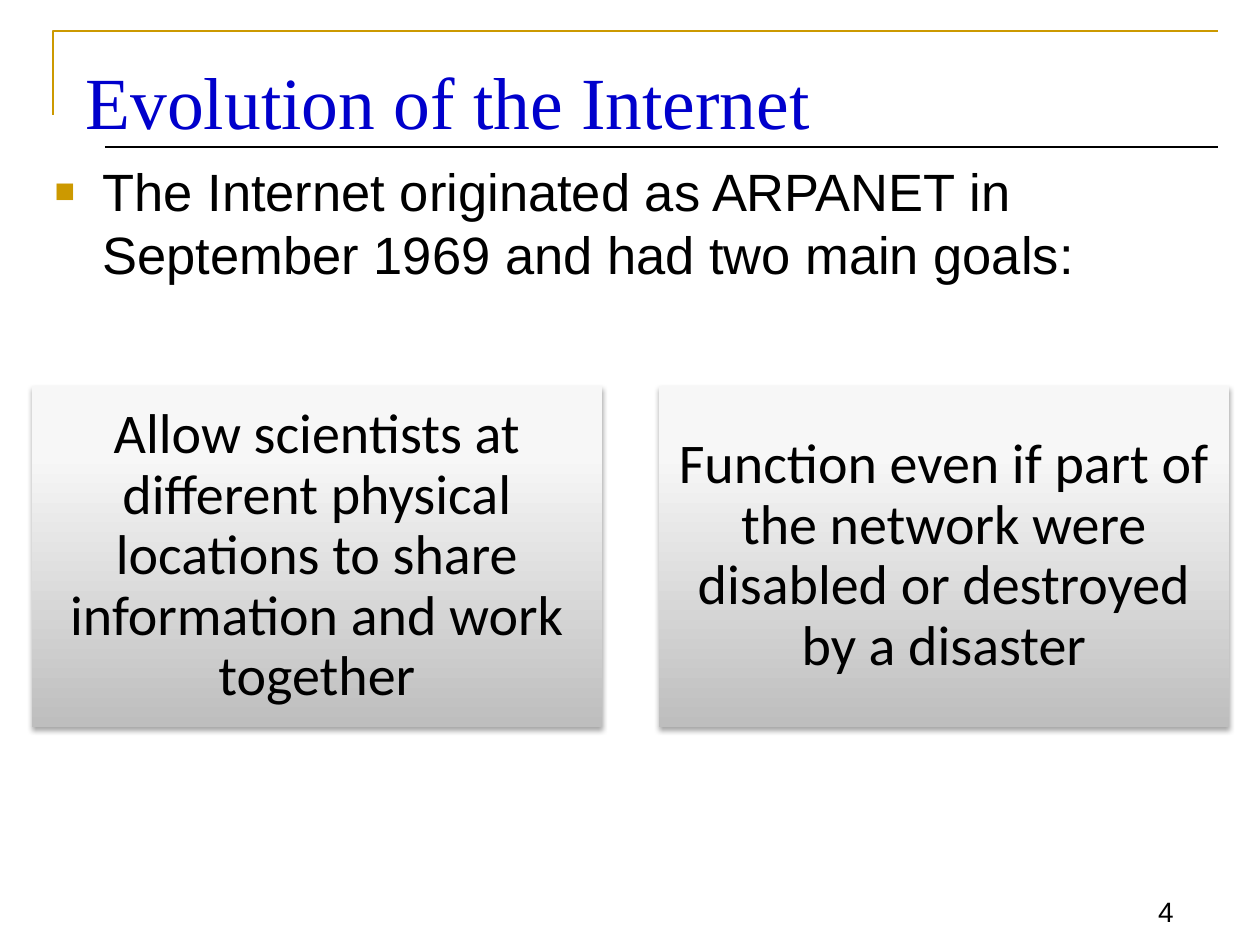
from pptx import Presentation
from pptx.dml.color import RGBColor
from pptx.enum.shapes import MSO_CONNECTOR, MSO_SHAPE
from pptx.enum.text import MSO_ANCHOR, MSO_AUTO_SIZE, PP_ALIGN
from pptx.oxml import parse_xml
from pptx.oxml.ns import nsdecls
from pptx.util import Emu, Pt

EMU_PER_PX = 914400 / 126
GOLD = "CC9900"
BLACK = "000000"
GOALS = [
    "Allow scientists at different physical locations to share information and work together",
    "Function even if part of the network were disabled or destroyed by a disaster",
]
CARD_STOPS = [(0, "BEBEBE"), (80, "F7F7F7"), (100, "F8F8F8")]


def px(length):
    return Emu(round(length * EMU_PER_PX))


def color(value):
    return RGBColor.from_string(value)


def place(shape, left, top, width, height):
    shape.left, shape.top = px(left), px(top)
    shape.width, shape.height = px(width), px(height)


def write(shape, text, font, size, text_color, align=PP_ALIGN.LEFT, anchor=MSO_ANCHOR.TOP):
    frame = shape.text_frame
    frame.text = text
    frame.word_wrap = True
    frame.auto_size = MSO_AUTO_SIZE.NONE
    frame.vertical_anchor = anchor
    paragraph = frame.paragraphs[0]
    paragraph.alignment = align
    paragraph.space_before = Pt(0)
    run = paragraph.runs[0]
    run.font.name = font
    run.font.size = Pt(size)
    run.font.color.rgb = color(text_color)
    return paragraph


def add_bullet(paragraph, indent):
    properties = paragraph._p.get_or_add_pPr()
    properties.set("marL", str(px(indent)))
    properties.set("indent", str(-px(indent)))
    for element in (
        f'<a:buClr {nsdecls("a")}><a:srgbClr val="{GOLD}"/></a:buClr>',
        f'<a:buSzPct {nsdecls("a")} val="65000"/>',
        f'<a:buFont {nsdecls("a")} typeface="Arial"/>',
        f'<a:buChar {nsdecls("a")} char="■"/>',
    ):
        properties.append(parse_xml(element))


def add_frame_lines(slide):
    builder = slide.shapes.build_freeform(px(53), px(115))
    builder.add_line_segments([(px(53), px(31)), (px(1218), px(31))], close=False)
    corner = builder.convert_to_shape()
    corner.shadow.inherit = False
    corner.fill.background()
    corner.line.color.rgb = color(GOLD)
    corner.line.width = Pt(1.5)

    rule = slide.shapes.add_connector(
        MSO_CONNECTOR.STRAIGHT, px(105), px(147), px(1218), px(147))
    rule.line.color.rgb = color(BLACK)
    rule.line.width = Pt(0.75)
    rule._element.spPr.append(parse_xml(f'<a:effectLst {nsdecls("a")}/>'))


def add_page_number(slide, number):
    box = slide.shapes.add_textbox(px(1103), px(872), px(83), px(62))
    write(box, number, "Arial", 16, BLACK, PP_ALIGN.RIGHT, MSO_ANCHOR.BOTTOM)


def fill_placeholders(slide):
    title, body = slide.placeholders
    place(title, 73, 42, 1144, 94)
    write(title, "Evolution of the Internet", "Times New Roman", 42, "0000CC")
    title.text_frame.margin_top = px(14)

    place(body, 42, 147, 1176, 158)
    paragraph = write(
        body,
        "The Internet originated as ARPANET in September 1969 and had two main goals:",
        "Arial", 30, BLACK)
    add_bullet(paragraph, 48)
    body.text_frame.margin_top = px(12)


def apply_gradient(shape, stops):
    shape.fill.gradient()
    shape.fill.gradient_angle = 90
    stop_list = shape._element.spPr.find(".//{*}gsLst")
    stop_list.clear()
    for position, value in stops:
        stop_list.append(parse_xml(
            f'<a:gs {nsdecls("a")} pos="{position * 1000}"><a:srgbClr val="{value}"/></a:gs>'))


def apply_shadow(shape):
    shape.shadow.inherit = False
    shape._element.spPr.find("{*}effectLst").append(parse_xml(
        f'<a:outerShdw {nsdecls("a")} blurRad="{Pt(3.1)}" dist="{Pt(1.8)}" dir="5400000" '
        f'rotWithShape="0"><a:srgbClr val="{BLACK}"><a:alpha val="35000"/></a:srgbClr>'
        '</a:outerShdw>'))


def add_goal_card(slide, left, text):
    card = slide.shapes.add_shape(MSO_SHAPE.RECTANGLE, px(left), px(386), px(570), px(341))
    apply_gradient(card, CARD_STOPS)
    card.line.fill.background()
    apply_shadow(card)
    paragraph = write(card, text, "Calibri", 32, BLACK, PP_ALIGN.CENTER, MSO_ANCHOR.MIDDLE)
    paragraph.line_spacing = 0.9
    frame = card.text_frame
    frame.margin_left = frame.margin_right = px(16)
    frame.margin_top = frame.margin_bottom = px(16)


def main():
    presentation = Presentation()
    presentation.slide_width, presentation.slide_height = px(1260), px(945)
    slide = presentation.slides.add_slide(presentation.slide_layouts[1])
    fill_placeholders(slide)
    add_frame_lines(slide)
    add_page_number(slide, "4")
    for index, goal in enumerate(GOALS):
        add_goal_card(slide, 32 + index * 627, goal)
    presentation.save("out.pptx")


if __name__ == "__main__":
    main()
